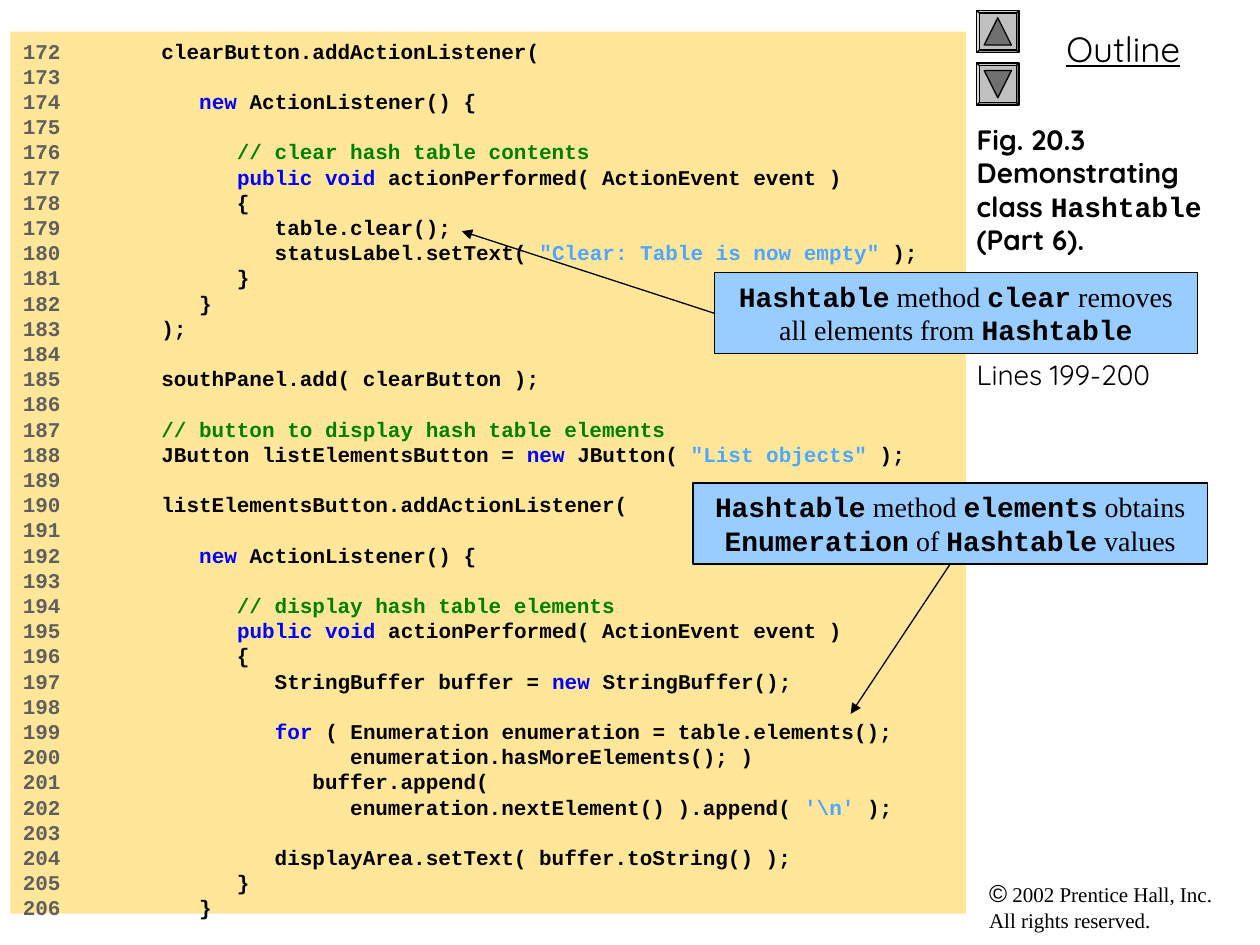
import pptx
import pptx.dml.color
import pptx.enum.shapes
import pptx.enum.text
import pptx.oxml.ns
import pptx.util

Cm, Pt = pptx.util.Cm, pptx.util.Pt
SHAPES = pptx.enum.shapes.MSO_SHAPE
ALIGN = pptx.enum.text.PP_ALIGN

BLACK, GREY, BLUE, GREEN, SKY = "000000", "5F5F5F", "0000FF", "008000", "4DA6FF"
SAND, CALLOUT, SILVER, DARK = "FFE699", "99CCFF", "C0C0C0", "707070"
MONO, SERIF, SANS, HEADING = "Courier New", "Times New Roman", "Arial", "Quicksand"

FIRST_LINE = 172
NEW_LISTENER = [("         ", BLACK), ("new", BLUE), (" ActionListener() {", BLACK)]
ACTION_METHOD = [("            ", BLACK), ("public void", BLUE),
                 (" actionPerformed( ActionEvent event )", BLACK)]
# A plain string is black code; a list holds (text, colour) pieces.
CODE = [
    "      clearButton.addActionListener(",
    "",
    NEW_LISTENER,
    "",
    [("            // clear hash table contents", GREEN)],
    ACTION_METHOD,
    "            {",
    "               table.clear();",
    [("               statusLabel.setText(", BLACK),
     (' "Clear: Table is now empty"', SKY), (" );", BLACK)],
    "            }",
    "         }",
    "      );",
    "",
    "      southPanel.add( clearButton );",
    "",
    [("      // button to display hash table elements", GREEN)],
    [("      JButton listElementsButton = ", BLACK), ("new", BLUE),
     (" JButton( ", BLACK), ('"List objects" ', SKY), (");", BLACK)],
    "",
    "      listElementsButton.addActionListener(",
    "",
    NEW_LISTENER,
    "",
    [("            // display hash table elements", GREEN)],
    ACTION_METHOD,
    "            {",
    [("               StringBuffer buffer = ", BLACK), ("new", BLUE),
     (" StringBuffer();", BLACK)],
    "",
    [("               ", BLACK), ("for", BLUE),
     (" ( Enumeration enumeration = table.elements();", BLACK)],
    "                     enumeration.hasMoreElements(); )",
    "                  buffer.append(",
    [("                     enumeration.nextElement() ).append( ", BLACK),
     ("'\\n'", SKY), (" );", BLACK)],
    "",
    "               displayArea.setText( buffer.toString() );",
    "            }",
    "         }",
]


def rgb(value):
    return pptx.dml.color.RGBColor.from_string(value)


def place(shape, left, top, width, height):
    shape.left, shape.top = Cm(left), Cm(top)
    shape.width, shape.height = Cm(width), Cm(height)


def set_font(font, name=None, size=None, color=None, bold=None):
    if name:
        font.name = name
    if size:
        font.size = Pt(size)
    if color:
        font.color.rgb = rgb(color)
    if bold is not None:
        font.bold = bold


def add_span(para, text, **style):
    span = para.add_run()
    span.text = text
    set_font(span.font, **style)


def prepare_frame(shape, left_inset=0.25):
    frame = shape.text_frame
    frame.word_wrap = True
    frame.auto_size = pptx.enum.text.MSO_AUTO_SIZE.NONE
    frame.vertical_anchor = pptx.enum.text.MSO_ANCHOR.TOP
    frame.margin_left, frame.margin_right = Cm(left_inset), Cm(0.25)
    frame.margin_top = frame.margin_bottom = Cm(0.13)
    return frame


def add_box(page, kind, area, fill):
    box = page.shapes.add_shape(kind, *map(Cm, area))
    box.shadow.inherit = False
    box.fill.solid()
    box.fill.fore_color.rgb = rgb(fill)
    box.line.color.rgb = rgb(BLACK)
    box.line.width = Pt(0.75)
    return box


def add_callout(page, area, pieces):
    """Pieces alternate between bold code words and plain serif text."""
    box = add_box(page, SHAPES.RECTANGLE, area, CALLOUT)
    para = prepare_frame(box).paragraphs[0]
    para.alignment = ALIGN.CENTER
    set_font(para.font, size=16, color=BLACK)
    for index, text in enumerate(pieces):
        is_code = index % 2 == 0
        add_span(para, text, name=MONO if is_code else SERIF, bold=is_code)
    return box


def add_arrow(page, box, side, target):
    """Draw an arrow from the middle of a box's side to the target."""
    arrow = page.shapes.add_connector(
        pptx.enum.shapes.MSO_CONNECTOR.STRAIGHT, 0, 0, *map(Cm, target))
    arrow.begin_connect(box, side)
    arrow.line.color.rgb = rgb(BLACK)
    arrow.line.width = Pt(0.75)
    qn = pptx.oxml.ns.qn
    properties = arrow._element.spPr
    properties.find(qn("a:ln")).append(
        properties.makeelement(qn("a:tailEnd"), {"type": "triangle"}))
    properties.append(properties.makeelement(qn("a:effectLst"), {}))


def add_nav_button(page, top, rotation):
    button = add_box(page, SHAPES.BEVEL, (19.69, top, 0.85, 0.85), SILVER)
    button.adjustments[0] = 0.06
    triangle = add_box(page, SHAPES.ISOSCELES_TRIANGLE,
                       (19.84, top + 0.15, 0.55, 0.55), DARK)
    triangle.rotation = rotation


def add_outline_heading(page):
    box = page.shapes.add_textbox(Cm(19.89), Cm(0.42), Cm(5.51), Cm(1.11))
    para = prepare_frame(box).paragraphs[0]
    para.alignment = ALIGN.CENTER
    para.font.underline = True
    set_font(para.font, HEADING, 20, BLACK)
    add_span(para, "Outline")


def add_copyright(page):
    box = page.shapes.add_textbox(Cm(19.69), Cm(17.58), Cm(5.51), Cm(1.37))
    para = prepare_frame(box).paragraphs[0]
    set_font(para.font, color=BLACK)
    add_span(para, "©", name=SANS, size=14)
    add_span(para, " 2002 Prentice Hall, Inc.", name=SERIF, size=12)
    para.add_line_break()
    add_span(para, "All rights reserved.", name=SERIF, size=12)


def fill_title(title):
    place(title, 19.69, 2.33, 5.71, 15.24)
    frame = prepare_frame(title, left_inset=0)
    caption = [("Fig. 20.3 Demonstrating class ", HEADING),
               ("Hashtable", MONO), (" (Part 6).", HEADING)]
    for index, block in enumerate([caption, [("Lines 199-200", HEADING)]]):
        para = frame.add_paragraph() if index else frame.paragraphs[0]
        para.alignment = ALIGN.LEFT
        para.space_before = Pt(58 if index else 0)
        set_font(para.font, size=16, color=BLACK, bold=index == 0)
        for text, name in block:
            add_span(para, text, name=name)


def fill_code(panel):
    place(panel, 0.21, 0.64, 19.26, 17.78)
    panel.fill.solid()
    panel.fill.fore_color.rgb = rgb(SAND)
    frame = prepare_frame(panel)
    for index, line in enumerate(CODE):
        para = frame.add_paragraph() if index else frame.paragraphs[0]
        para.alignment = ALIGN.LEFT
        para.space_before = Pt(0)
        para.line_spacing = Pt(14.4)
        set_font(para.font, MONO, 12, bold=True)
        pieces = [(line, BLACK)] if isinstance(line, str) else line
        number = str(FIRST_LINE + index)
        add_span(para, number + "  " if line else number, color=GREY)
        for text, color in pieces:
            if text:
                add_span(para, text, color=color)


def main():
    deck = pptx.Presentation()
    deck.slide_width, deck.slide_height = Cm(25.4), Cm(19.05)
    page = deck.slides.add_slide(deck.slide_layouts[0])
    fill_title(page.shapes.title)
    fill_code(page.placeholders[1])
    add_copyright(page)
    add_outline_heading(page)
    add_nav_button(page, 0.21, 0)
    add_nav_button(page, 1.27, 180)
    clear_note = add_callout(
        page, (14.4, 5.5, 9.74, 1.63),
        ["Hashtable", " method ", "clear", " removes all elements from ", "Hashtable"])
    add_arrow(page, clear_note, 1, (9.31, 4.66))
    elements_note = add_callout(
        page, (13.97, 9.74, 10.37, 1.63),
        ["Hashtable", " method ", "elements", " obtains ", "Enumeration",
         " of ", "Hashtable", " values"])
    add_arrow(page, elements_note, 2, (17.15, 14.39))
    deck.save("out.pptx")


if __name__ == "__main__":
    main()
